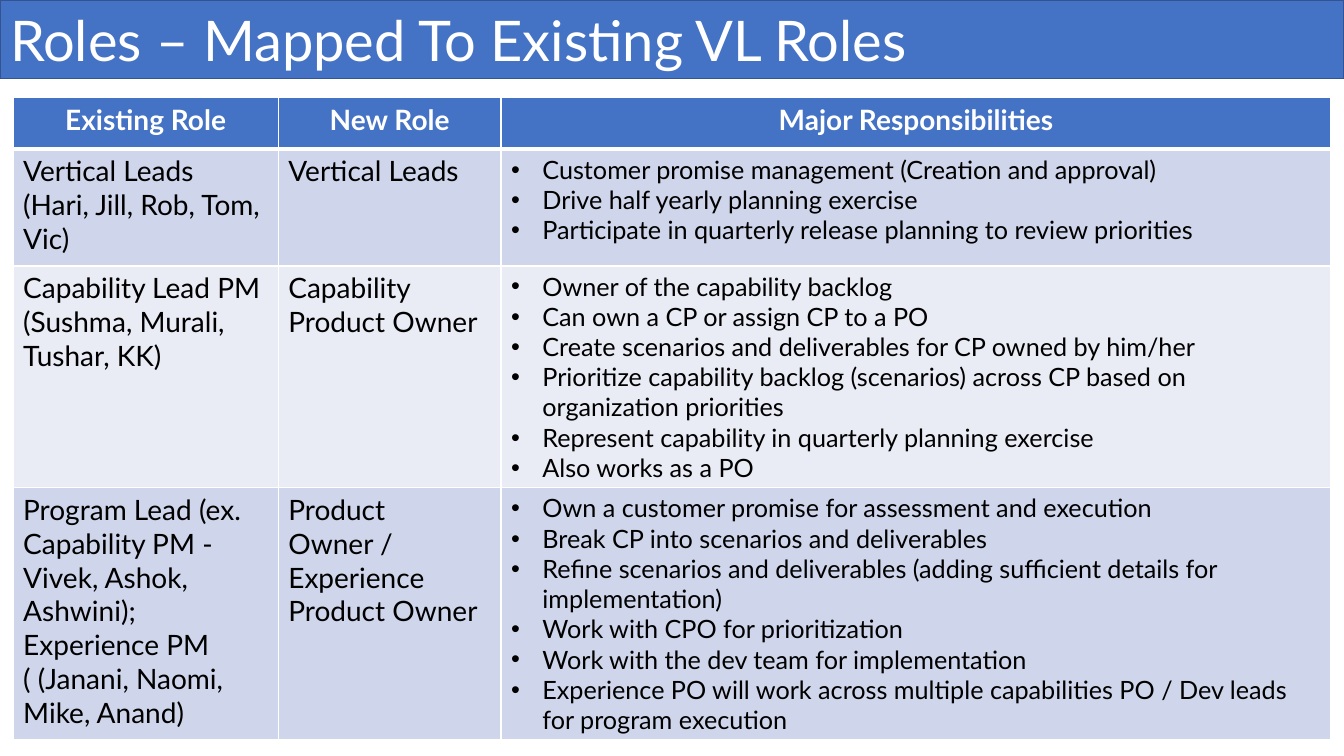
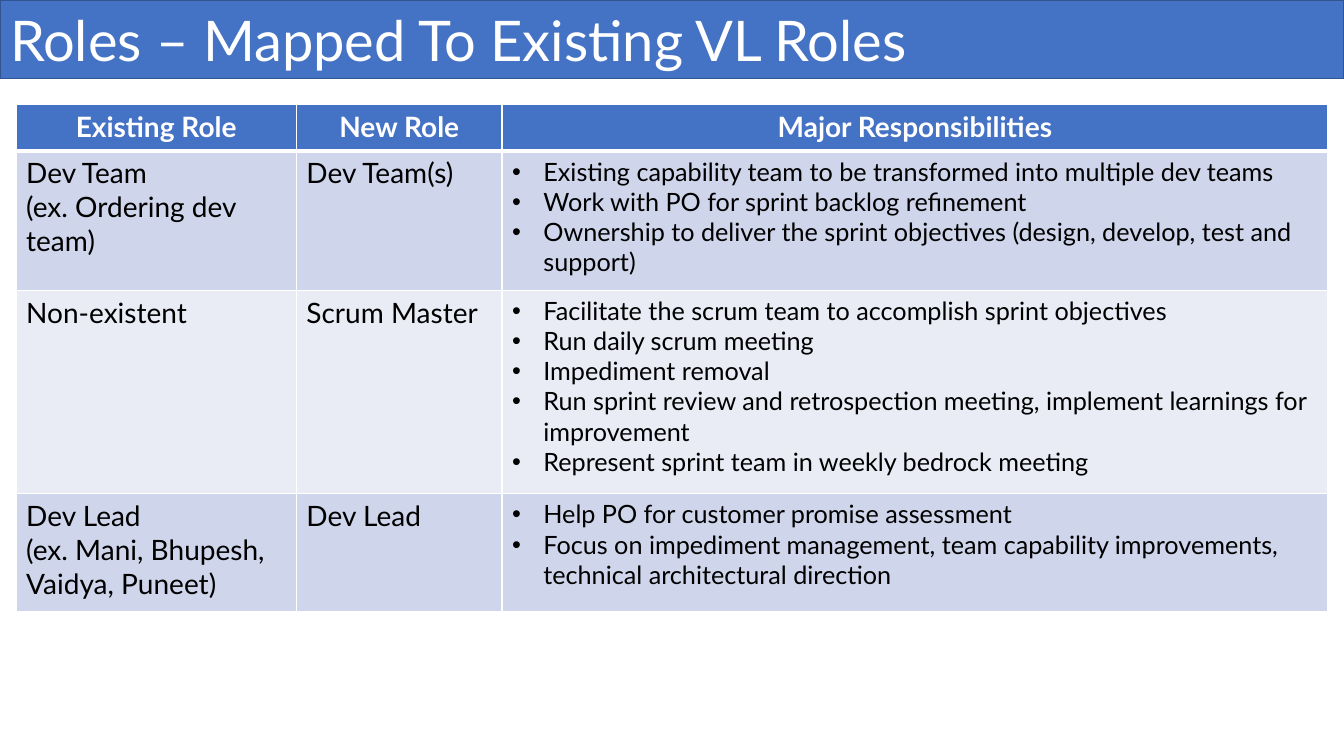
"""Build two slides that map existing roles to new roles and responsibilities."""
from lxml.etree import SubElement
from pptx import Presentation
from pptx.dml.color import RGBColor
from pptx.enum.text import MSO_ANCHOR, MSO_AUTO_SIZE, PP_ALIGN
from pptx.oxml.ns import qn
from pptx.util import Inches, Pt

BLUE = RGBColor(0x44, 0x72, 0xC4)
DARK_BLUE = RGBColor(0x32, 0x54, 0x91)
ROW_TINTS = RGBColor(0xCF, 0xD5, 0xEA), RGBColor(0xE9, 0xEB, 0xF5)
WHITE = RGBColor(0xFF, 0xFF, 0xFF)
BLACK = RGBColor(0x00, 0x00, 0x00)
FONT = "Lato"
TITLE = "Roles – Mapped To Existing VL Roles"
HEADER = ("Existing Role", "New Role", "Major Responsibilities")
BAND_HEIGHT = 78
RESPONSIBILITIES_COLUMN = 2

SLIDES = [
    {
        "corner": (13, 97),
        "columns": (263, 221, 823),
        "rows": (51, 116, 220, 250),
        "roles": [
            (
                "Vertical Leads\n(Hari, Jill, Rob, Tom, Vic)",
                "Vertical Leads",
                "Customer promise management (Creation and approval)\n"
                "Drive half yearly planning exercise\n"
                "Participate in quarterly release planning to review priorities",
            ),
            (
                "Capability Lead PM (Sushma, Murali, Tushar, KK)",
                "Capability Product Owner",
                "Owner of the capability backlog\n"
                "Can own a CP or assign CP to a PO\n"
                "Create scenarios and deliverables for CP owned by him/her\n"
                "Prioritize capability backlog (scenarios) across CP based on organization priorities\n"
                "Represent capability in quarterly planning exercise\n"
                "Also works as a PO",
            ),
            (
                "Program Lead (ex. Capability PM - Vivek, Ashok, Ashwini); "
                "Experience PM ( (Janani, Naomi, Mike, Anand)",
                "Product Owner / Experience Product Owner",
                "Own a customer promise for assessment and execution\n"
                "Break CP into scenarios and deliverables\n"
                "Refine scenarios and deliverables (adding sufficient details for implementation)\n"
                "Work with CPO for prioritization\n"
                "Work with the dev team for implementation\n"
                "Experience PO will work across multiple capabilities PO / Dev leads for program execution",
            ),
        ],
    },
    {
        "corner": (16, 104),
        "columns": (278, 204, 819),
        "rows": (46, 138, 202, 117),
        "roles": [
            (
                "Dev Team\n(ex. Ordering dev team)",
                "Dev Team(s)",
                "Existing capability team to be transformed into multiple dev teams\n"
                "Work with PO for sprint backlog refinement\n"
                "Ownership to deliver the sprint objectives (design, develop, test and support)",
            ),
            (
                "Non-existent",
                "Scrum Master",
                "Facilitate the scrum team to accomplish sprint objectives\n"
                "Run daily scrum meeting\n"
                "Impediment removal\n"
                "Run sprint review and retrospection meeting, implement learnings for improvement\n"
                "Represent sprint team in weekly bedrock meeting",
            ),
            (
                "Dev Lead\n(ex. Mani, Bhupesh, Vaidya, Puneet)",
                "Dev Lead",
                "Help PO for customer promise assessment\n"
                "Focus on impediment management, team capability improvements, "
                "technical architectural direction",
            ),
        ],
    },
]


def add_borders(cell, top, bottom):
    """Draw white cell borders, with the top and bottom widths in points."""
    properties = cell._tc.get_or_add_tcPr()
    for side, width in (("L", 1), ("R", 1), ("T", top), ("B", bottom)):
        line = SubElement(properties, qn(f"a:ln{side}"), w=str(Pt(width)))
        fill = SubElement(line, qn("a:solidFill"))
        SubElement(fill, qn("a:srgbClr"), val=str(WHITE))


def add_bullet(paragraph):
    """Give the paragraph a round bullet with a hanging indent."""
    properties = paragraph._p.get_or_add_pPr()
    indent = Inches(0.31)
    properties.set("marL", str(indent))
    properties.set("indent", str(-indent))
    SubElement(properties, qn("a:buFont"), typeface="Arial")
    SubElement(properties, qn("a:buChar"), char="•")


presentation = Presentation()
presentation.slide_width = Inches(13.33)
presentation.slide_height = Inches(7.5)
grid = presentation.slide_height // 750
title_only_layout = presentation.slide_layouts[5]

for content in SLIDES:
    slide = presentation.slides.add_slide(title_only_layout)

    title = slide.shapes.title
    title.left, title.top = 0, 0
    title.width, title.height = presentation.slide_width, BAND_HEIGHT * grid
    title.fill.solid()
    title.fill.fore_color.rgb = BLUE
    title.line.color.rgb = DARK_BLUE
    title.line.width = Pt(1)
    title.text_frame.text = TITLE
    title.text_frame.auto_size = MSO_AUTO_SIZE.NONE
    title.text_frame.vertical_anchor = MSO_ANCHOR.MIDDLE
    paragraph = title.text_frame.paragraphs[0]
    paragraph.alignment = PP_ALIGN.LEFT
    paragraph.font.name = FONT
    paragraph.font.size = Pt(40)
    paragraph.font.color.rgb = WHITE

    rows = [HEADER, *content["roles"]]
    left, top = content["corner"]
    table = slide.shapes.add_table(
        len(rows), len(HEADER), left * grid, top * grid,
        sum(content["columns"]) * grid, sum(content["rows"]) * grid,
    ).table
    for column, width in zip(table.columns, content["columns"]):
        column.width = width * grid
    for row, height in zip(table.rows, content["rows"]):
        row.height = height * grid

    for row_index, texts in enumerate(rows):
        is_header = row_index == 0
        for column_index, text in enumerate(texts):
            cell = table.cell(row_index, column_index)
            add_borders(cell, 3 if row_index == 1 else 1, 3 if is_header else 1)
            cell.fill.solid()
            cell.fill.fore_color.rgb = BLUE if is_header else ROW_TINTS[(row_index - 1) % 2]
            cell.text_frame.text = text
            is_list = column_index == RESPONSIBILITIES_COLUMN and not is_header
            for paragraph in cell.text_frame.paragraphs:
                paragraph.alignment = PP_ALIGN.CENTER if is_header else PP_ALIGN.LEFT
                paragraph.font.name = FONT
                paragraph.font.size = Pt(18 if is_list else 20)
                paragraph.font.bold = is_header
                paragraph.font.color.rgb = WHITE if is_header else BLACK
                if is_list:
                    add_bullet(paragraph)

presentation.save("out.pptx")
